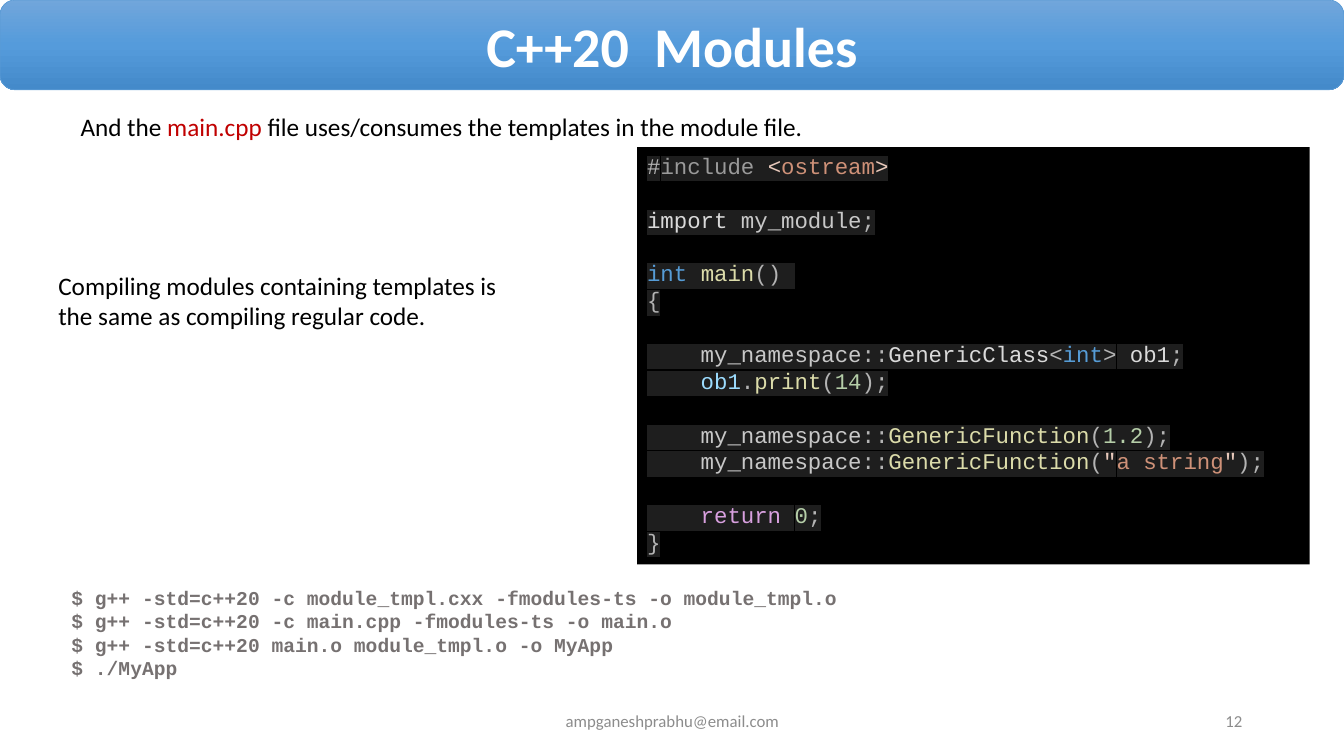
from copy import deepcopy
from lxml.etree import SubElement
from pptx import Presentation
from pptx.dml.color import RGBColor
from pptx.enum.shapes import MSO_SHAPE
from pptx.enum.text import MSO_ANCHOR, PP_ALIGN
from pptx.oxml.ns import qn
from pptx.util import Inches, Pt

WHITE = RGBColor(0xFF, 0xFF, 0xFF)
BLACK = RGBColor(0, 0, 0)
RED = RGBColor(0xC0, 0, 0)
FOOT = RGBColor(0x8C, 0x8C, 0x8C)
SHELL = RGBColor(0x76, 0x71, 0x71)
EDGE = RGBColor(0x5B, 0x9B, 0xD5)
BLUES = [RGBColor(0x71, 0xA6, 0xDB), RGBColor(0x55, 0x9B, 0xDB), RGBColor(0x44, 0x8A, 0xCA)]
MARK = RGBColor(0x1E, 0x1E, 0x1E)
PUNCT = RGBColor(0xB4, 0xB4, 0xB4)
MACRO = RGBColor(0x9A, 0x9A, 0x9A)
NAME = RGBColor(0xC8, 0xC8, 0xC8)
PLAIN = RGBColor(0xDA, 0xDA, 0xDA)
QUOTE = RGBColor(0xE8, 0xC9, 0xBB)
STRING = RGBColor(0xCE, 0x91, 0x78)
TYPE = RGBColor(0x56, 0x9C, 0xD6)
FUNC = RGBColor(0xDC, 0xDC, 0xAA)
LOCAL = RGBColor(0x9C, 0xDC, 0xFE)
NUMBER = RGBColor(0xB5, 0xCE, 0xA8)
FLOW = RGBColor(0xD8, 0xA0, 0xDF)

SANS, MONO = "Calibri", "Courier New"
TAB = ("\u00a0 \u00a0 ", PLAIN)
SCOPE = [TAB, ("my_namespace", NAME), ("::", PUNCT)]
CALL = SCOPE + [("GenericFunction", FUNC), ("(", PUNCT)]
END = (");", PUNCT)

CODE = [
    [("#", PUNCT), ("include", MACRO), (" ", NAME), ("<", QUOTE), ("ostream", STRING), (">", QUOTE)],
    [("import ", PLAIN), ("my_module", NAME), (";", PUNCT)],
    [("int", TYPE), (" ", PLAIN), ("main", FUNC), ("()", PUNCT), (" ", PLAIN)],
    [("{", PUNCT)],
    SCOPE + [("GenericClass", PLAIN), ("<", PUNCT), ("int", TYPE), (">", PUNCT),
             (" ob1", PLAIN), (";", PUNCT)],
    [TAB, ("ob1", LOCAL), (".", PUNCT), ("print", FUNC), ("(", PUNCT), ("14", NUMBER), END],
    CALL + [("1.2", NUMBER), END],
    CALL + [('"', QUOTE), ("a string", STRING), ('"', QUOTE), END],
    [TAB, ("return", FLOW), (" ", PLAIN), ("0", NUMBER), (";", PUNCT)],
    [("}", PUNCT)],
]
GAPS = {1, 2, 4, 6, 8}

SHELL_LINES = [
    "$ g++ -std=c++20 -c module_tmpl.cxx -fmodules-ts -o module_tmpl.o",
    "$ g++ -std=c++20 -c main.cpp -fmodules-ts -o main.o",
    "$ g++ -std=c++20 main.o module_tmpl.o -o MyApp",
    "$ ./MyApp",
]


class Deck:
    def __init__(self):
        self.show = Presentation()
        self.show.slide_width = Inches(13.33)
        self.show.slide_height = Inches(7.5)
        self.slide = self.show.slides.add_slide(self.show.slide_layouts[6])

    def label(self, shape, lines, size, font=SANS, bold=False, align=PP_ALIGN.LEFT,
              anchor=MSO_ANCHOR.TOP, mark=None, gaps=()):
        frame = shape.text_frame
        frame.word_wrap = True
        frame.vertical_anchor = anchor
        for row, line in enumerate(lines):
            para = frame.paragraphs[0] if row == 0 else frame.add_paragraph()
            para.alignment = align
            if row in gaps:
                para.space_before = Pt(size * 1.2)
            for text, color in line:
                run = para.add_run()
                run.text = text
                run.font.size = Pt(size)
                run.font.bold = bold
                run.font.color.rgb = color
                if mark:
                    self.shade(run, mark)
                run.font.name = font

    def shade(self, run, color):
        props = run.font._element
        light = SubElement(props, qn("a:highlight"))
        SubElement(light, qn("a:srgbClr")).set("val", str(color))

    def text(self, box, lines, size, **style):
        shape = self.slide.shapes.add_textbox(*map(Inches, box))
        self.label(shape, lines, size, **style)

    def shape(self, kind, box):
        shape = self.slide.shapes.add_shape(kind, *map(Inches, box))
        shape.shadow.inherit = False
        return shape

    def banner(self, box, title):
        shape = self.shape(MSO_SHAPE.ROUNDED_RECTANGLE, box)
        fill = shape.fill
        fill.gradient()
        fill.gradient_angle = 270
        first = fill.gradient_stops[0]._gs
        first.addnext(deepcopy(first))
        for step, (stop, color) in enumerate(zip(fill.gradient_stops, BLUES)):
            stop.position = step / 2
            stop.color.rgb = color
        shape.line.color.rgb = EDGE
        shape.line.width = Pt(0.5)
        self.label(shape, [[(title, WHITE)]], 40, bold=True,
                   align=PP_ALIGN.CENTER, anchor=MSO_ANCHOR.MIDDLE)

    def code(self, box, lines, gaps):
        shape = self.shape(MSO_SHAPE.RECTANGLE, box)
        shape.fill.solid()
        shape.fill.fore_color.rgb = BLACK
        shape.line.fill.background()
        self.label(shape, lines, 16, font=MONO, mark=MARK, gaps=gaps)

    def foot(self, box, text, align):
        self.text(box, [[(text, FOOT)]], 12, align=align, anchor=MSO_ANCHOR.MIDDLE)


deck = Deck()
deck.banner((0, 0, 13.33, 0.89), "C++20  Modules")
deck.foot((4.42, 6.95, 4.5, 0.4), "ampganeshprabhu@email.com", PP_ALIGN.CENTER)
deck.foot((9.42, 6.95, 3, 0.4), "12", PP_ALIGN.RIGHT)
deck.text((0.7, 1.06, 8.48, 0.4), [[
    ("And the ", BLACK), ("main.cpp ", RED),
    ("file uses/consumes the templates in the module file.", BLACK)]], 18)
deck.code((6.32, 1.46, 6.67, 4.14), CODE, GAPS)
deck.text((0.48, 2.63, 4.65, 0.71), [[
    ("Compiling modules containing templates is the same as compiling regular code.", BLACK)]], 18)
deck.text((0.61, 5.76, 8.31, 1.04), [[(line, SHELL)] for line in SHELL_LINES], 14,
          font=MONO, bold=True)
deck.show.save("out.pptx")
